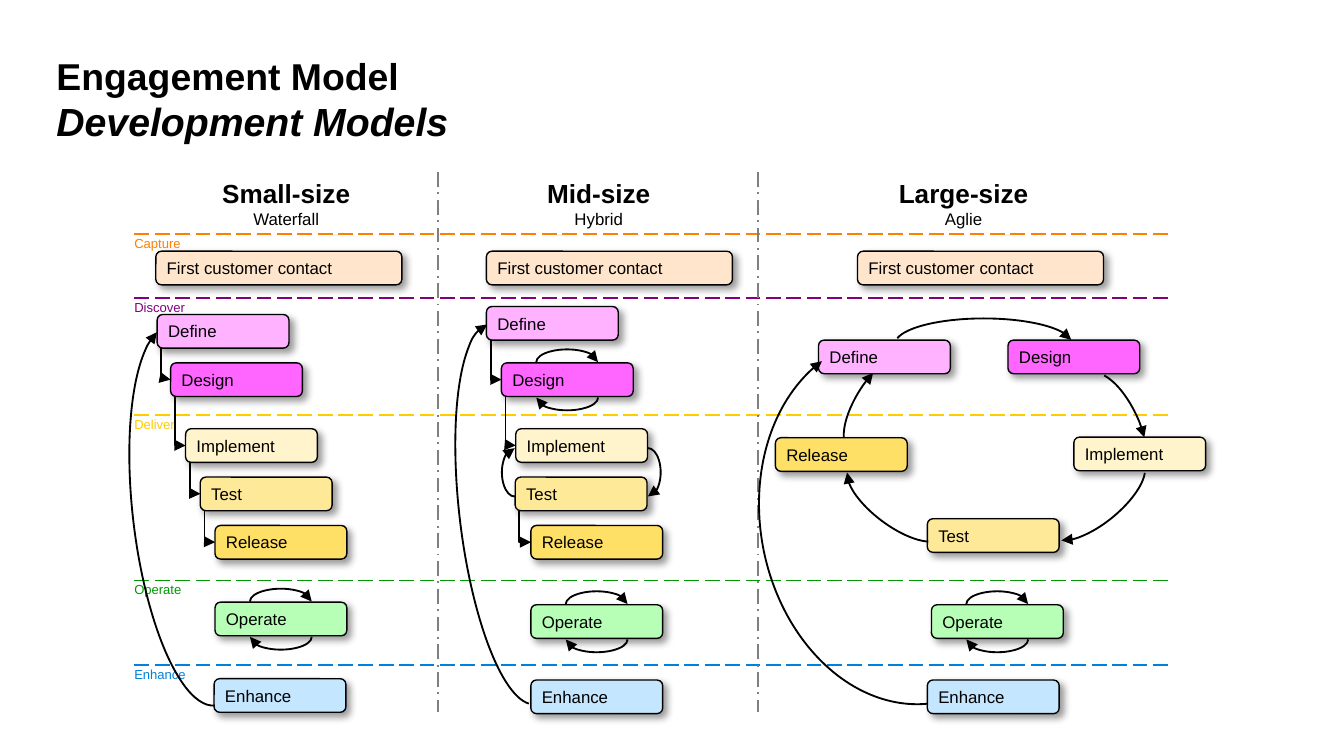
from dataclasses import dataclass

from lxml.etree import SubElement
from pptx import Presentation
from pptx.dml.color import RGBColor
from pptx.enum.dml import MSO_LINE
from pptx.enum.shapes import MSO_CONNECTOR, MSO_SHAPE
from pptx.enum.text import MSO_ANCHOR, MSO_AUTO_SIZE, PP_ALIGN
from pptx.oxml.ns import qn
from pptx.util import Pt

FONT = "Arial"
COLORS = {
    "black": "000000", "divider": "7F7F7F",
    "First customer contact": "FFE5CC", "Define": "FEB2FF", "Design": "FE66FF",
    "Implement": "FFF4CC", "Test": "FEE999", "Release": "FFE066",
    "Operate": "B7FFB7", "Enhance": "C4E6FF",
    "capture": "FF7F00", "discover": "800080", "deliver": "FFCC00",
    "operate": "009900", "enhance": "0082DA",
}
STEP_W, STEP_H = 70.6, 18
CONTACT = "First customer contact"


@dataclass
class Step:
    name: str
    left: float
    top: float
    width: float = STEP_W


@dataclass
class Arc:
    left: float
    top: float
    width: float
    height: float
    turn: float = 0
    start: float = 107.98
    end: float = 0


@dataclass
class Model:
    name: str
    method: str
    left: float
    width: float
    steps: list[Step]
    links: list[tuple[str, str]]
    loops: list[str]
    arcs: list[Arc]


@dataclass
class Phase:
    name: str
    top: float


PHASES = [Phase("Capture", 125.3), Phase("Discover", 159.8), Phase("Deliver", 222.5),
          Phase("Operate", 311), Phase("Enhance", 356.4)]

MODELS = [
    Model("Small-size", "Waterfall", 72, 162.7,
          [Step(CONTACT, 83.5, 134.6, 131.8), Step("Define", 84.2, 168.5),
           Step("Design", 91.4, 194.4), Step("Implement", 99.4, 229.7),
           Step("Test", 107.3, 255.6), Step("Release", 115.2, 281.5),
           Step("Operate", 115.2, 322.6), Step("Enhance", 114.7, 363.6)],
          [("Define", "Design"), ("Design", "Implement"),
           ("Implement", "Test"), ("Test", "Release")],
          ["Operate"],
          [Arc(71.3, 173.5, 64.1, 205.2, 173.2, 162.13, 51.4)]),
    Model("Mid-size", "Hybrid", 234.7, 172.1,
          [Step(CONTACT, 260.6, 134.6, 131.8), Step("Define", 260.6, 164.2),
           Step("Design", 268.6, 194.4), Step("Implement", 276.3, 229.7),
           Step("Test", 276, 255.6), Step("Release", 284.4, 281.5),
           Step("Operate", 284.4, 324), Step("Enhance", 284.4, 364.3)],
          [("Define", "Design"), ("Design", "Implement"), ("Test", "Release")],
          ["Design", "Operate"],
          [Arc(334.1, 246.2, 25.9, 13.7, 90), Arc(262.8, 246.2, 25.9, 13.7, 270),
           Arc(246.2, 172.8, 56.9, 205.2, 173.2, 163.15, 53.48)]),
    Model("Large-size", "Aglie", 406.8, 218.9,
          [Step(CONTACT, 459.4, 134.6, 131.8), Step("Define", 438.5, 182.2),
           Step("Design", 540, 182.2), Step("Implement", 575.3, 234.2),
           Step("Test", 496.8, 277.9), Step("Release", 415.4, 234.5),
           Step("Operate", 499, 324), Step("Enhance", 496.8, 364.3)],
          [],
          ["Operate"],
          [Arc(479.5, 170.6, 95, 27.4, 0, 110.28, 214.39),
           Arc(556.6, 254.9, 62.6, 25.2, 140.8, 114.05, 210.26),
           Arc(566.6, 214.6, 60.5, 25.9, 64.6, 116.41, 190.88),
           Arc(448.6, 256.3, 62.6, 25.2, 216.8, 116.41, 212.61),
           Arc(441.4, 203, 60.5, 25.9, 302.6, 116.41, 188.42),
           Arc(407.5, 180.7, 152.6, 197.3, 169, 164.03, 44.48)]),
]


def tint(key: str) -> RGBColor:
    return RGBColor.from_string(COLORS[key])


def style(run, size: float, color: str = "black", bold: bool = False,
          slant: bool = False) -> None:
    font = run.font
    font.name, font.size, font.bold, font.italic = FONT, Pt(size), bold, slant
    font.color.rgb = tint(color)


def inset(frame, side: float = 5, edge: float = 2.9) -> None:
    frame.margin_left = frame.margin_right = Pt(side)
    frame.margin_top = frame.margin_bottom = Pt(edge)
    frame.word_wrap = True
    frame.auto_size = MSO_AUTO_SIZE.NONE


def stroke(shape, color: str = "black", width: float = 1) -> None:
    shape.line.color.rgb = tint(color)
    shape.line.width = Pt(width)


def point(shape) -> None:
    line = shape._element.spPr.find(qn("a:ln"))
    SubElement(line, qn("a:tailEnd"), type="triangle")


def add_line(shapes, x: float, y: float, to_x: float, to_y: float,
             color: str = "black", kind=MSO_CONNECTOR.STRAIGHT):
    line = shapes.add_connector(kind, Pt(x), Pt(y), Pt(to_x), Pt(to_y))
    stroke(line, color)
    SubElement(line._element.spPr, qn("a:effectLst"))
    return line


def add_text(shapes, text: str, left: float, top: float, width: float, height: float):
    box = shapes.add_textbox(Pt(left), Pt(top), Pt(width), Pt(height))
    inset(box.text_frame)
    para = box.text_frame.paragraphs[0]
    para.text = text
    return para


def add_phase(shapes, phase: Phase) -> None:
    color = phase.name.lower()
    line = add_line(shapes, 72, phase.top, 625.7, phase.top, color)
    line.line.dash_style = MSO_LINE.LONG_DASH
    para = add_text(shapes, phase.name, 67, phase.top - 2.2, 44, 12.2)
    style(para.runs[0], 7, color)


def add_step(shapes, step: Step) -> None:
    box = shapes.add_shape(MSO_SHAPE.ROUNDED_RECTANGLE, Pt(step.left), Pt(step.top),
                           Pt(step.width), Pt(STEP_H))
    box.fill.solid()
    box.fill.fore_color.rgb = tint(step.name)
    stroke(box, width=0.75)
    box.shadow.inherit = False
    effects = box._element.spPr.find(qn("a:effectLst"))
    shade = SubElement(effects, qn("a:outerShdw"), blurRad=str(Pt(4)), dist=str(Pt(3)),
                       dir="2700000", algn="tl", rotWithShape="0")
    color = SubElement(shade, qn("a:srgbClr"), val=COLORS["black"])
    SubElement(color, qn("a:alpha"), val="40000")
    frame = box.text_frame
    inset(frame)
    frame.vertical_anchor = MSO_ANCHOR.MIDDLE
    frame.text = step.name
    frame.paragraphs[0].alignment = PP_ALIGN.LEFT
    style(frame.paragraphs[0].runs[0], 9)


def add_link(shapes, first: Step, second: Step) -> None:
    x, y = first.left + 2.2, first.top + STEP_H
    run, drop = second.left - x, second.top + STEP_H / 2 - y
    left, top = x + (run - drop) / 2, y + (drop - run) / 2
    link = add_line(shapes, left, top, left + drop, top + run, kind=MSO_CONNECTOR.ELBOW)
    frame = link._element.spPr.find(qn("a:xfrm"))
    frame.set("rot", "16200000")
    frame.set("flipH", "1")
    link._element.spPr.find(qn("a:prstGeom")).set("prst", "bentConnector2")
    point(link)


def add_arc(shapes, arc: Arc) -> None:
    shape = shapes.add_shape(MSO_SHAPE.ARC, Pt(arc.left), Pt(arc.top),
                             Pt(arc.width), Pt(arc.height))
    shape.adjustments[0], shape.adjustments[1] = arc.start, arc.end
    shape.rotation = arc.turn
    shape.fill.background()
    stroke(shape)
    shape.shadow.inherit = False
    point(shape)


def add_model(shapes, model: Model) -> None:
    steps = {step.name: step for step in model.steps}
    for step in model.steps:
        add_step(shapes, step)
    for first, second in model.links:
        add_link(shapes, steps[first], steps[second])
    for name in model.loops:
        left, top = steps[name].left + 18.7, steps[name].top
        add_arc(shapes, Arc(left, top - 7.2, 33.1, 13.7))
        add_arc(shapes, Arc(left, top + 11.7, 33.1, 13.7, 180))
    for arc in model.arcs:
        add_arc(shapes, arc)
    para = add_text(shapes, f"{model.name}\v{model.method}", model.left, 92.2, model.width, 32.4)
    para.alignment = PP_ALIGN.CENTER
    style(para.runs[0], 14, bold=True)
    style(para.runs[1], 9)


def add_title(title) -> None:
    title.left, title.top, title.width, title.height = Pt(30.2), Pt(26.6), Pt(579.6), Pt(52.6)
    frame = title.text_frame
    inset(frame, 0, 0)
    frame.vertical_anchor = MSO_ANCHOR.MIDDLE
    para = frame.paragraphs[0]
    para.text = "Engagement Model\vDevelopment Models"
    para.alignment = PP_ALIGN.LEFT
    style(para.runs[0], 20, bold=True)
    style(para.runs[1], 21, bold=True, slant=True)


def main() -> None:
    deck = Presentation()
    deck.slide_width, deck.slide_height = Pt(720), Pt(405)
    slide = deck.slides.add_slide(deck.slide_layouts[5])
    add_title(slide.shapes.title)
    for phase in PHASES:
        add_phase(slide.shapes, phase)
    for x in (234.7, 406.1):
        line = add_line(slide.shapes, x, 92.2, x, 381.6, "divider")
        line.line.dash_style = MSO_LINE.LONG_DASH_DOT
    for model in MODELS:
        add_model(slide.shapes, model)
    deck.save("out.pptx")


if __name__ == "__main__":
    main()
